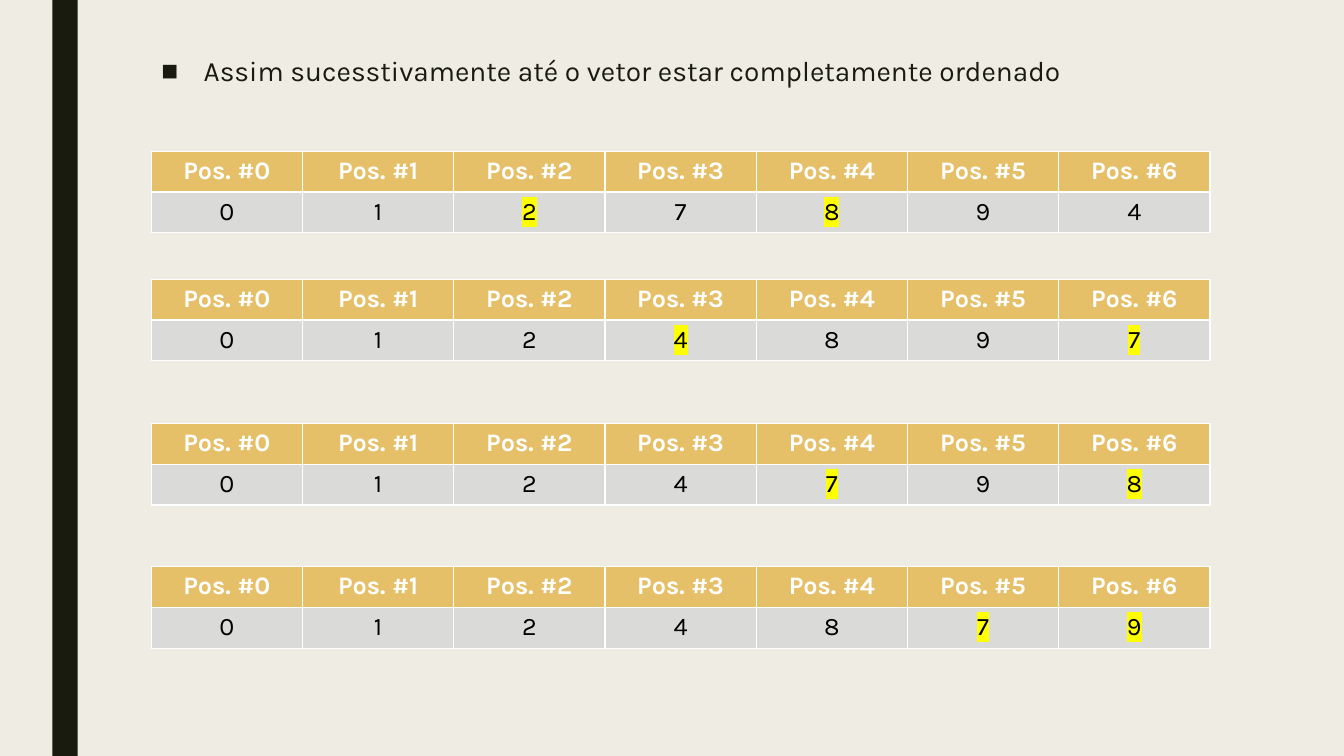
from lxml.etree import SubElement
from pptx import Presentation
from pptx.dml.color import RGBColor
from pptx.enum.shapes import MSO_SHAPE
from pptx.enum.text import MSO_ANCHOR, PP_ALIGN
from pptx.oxml.ns import qn
from pptx.util import Inches, Pt

MESSAGE = "Assim sucesstivamente até o vetor estar completamente ordenado"
# Top in inches, values of the vector, highlighted positions
STEPS = [
    (1.5, [0, 1, 2, 7, 8, 9, 4], {2, 4}),
    (2.77, [0, 1, 2, 4, 8, 9, 7], {3, 6}),
    (4.2, [0, 1, 2, 4, 7, 9, 8], {4, 6}),
    (5.62, [0, 1, 2, 4, 8, 7, 9], {5, 6}),
]

FONT = "Karla"
CREAM = RGBColor(0xEF, 0xED, 0xE3)
DARK = RGBColor(0x19, 0x1B, 0x0E)
GOLD = RGBColor(0xE6, 0xC0, 0x69)
GRAY = RGBColor(0xDA, 0xDB, 0xD9)
WHITE = RGBColor(0xFF, 0xFF, 0xFF)
BLACK = RGBColor(0, 0, 0)
YELLOW = RGBColor(0xFF, 0xFF, 0)

LEFT, WIDTH, ROW_HEIGHT = 1.5, 10.5, 0.405


def set_font(paragraph, size, color, bold=False):
    font = paragraph.font
    font.name, font.size, font.bold = FONT, Pt(size), bold
    font.color.rgb = color


def fill_cell(cell, text, fill, color, bold=False, highlighted=False):
    cell.fill.solid()
    cell.fill.fore_color.rgb = fill
    paragraph = cell.text_frame.paragraphs[0]
    paragraph.alignment = PP_ALIGN.CENTER
    run = paragraph.add_run()
    run.text = text
    set_font(paragraph, 18, color, bold)
    if highlighted:
        highlight = SubElement(run.font._element, qn("a:highlight"))
        SubElement(highlight, qn("a:srgbClr"), val=str(YELLOW))


def add_vector(slide, top, values, highlights):
    frame = slide.shapes.add_table(2, len(values), Inches(LEFT), Inches(top),
                                   Inches(WIDTH), Inches(2 * ROW_HEIGHT))
    table = frame.table
    table.horz_banding = False
    for row in table.rows:
        row.height = Inches(ROW_HEIGHT)
    for position, value in enumerate(values):
        table.columns[position].width = Inches(WIDTH / len(values))
        fill_cell(table.cell(0, position), f"Pos. #{position}", GOLD, WHITE, bold=True)
        fill_cell(table.cell(1, position), str(value), GRAY, BLACK,
                  highlighted=position in highlights)


def add_message(slide):
    body = slide.placeholders[1]
    body.left, body.top = Inches(LEFT), Inches(0.51)
    body.width, body.height = Inches(WIDTH), Inches(0.56)
    body.text_frame.vertical_anchor = MSO_ANCHOR.TOP
    paragraph = body.text_frame.paragraphs[0]
    paragraph.text = MESSAGE
    properties = paragraph._p.get_or_add_pPr()
    properties.set("marL", str(Inches(0.42)))
    properties.set("indent", str(Inches(-0.42)))
    SubElement(properties, qn("a:buChar"), char="■")
    paragraph.line_spacing = 0.94
    paragraph.space_before, paragraph.space_after = Pt(10), Pt(2)
    set_font(paragraph, 20, DARK)


def main():
    presentation = Presentation()
    presentation.slide_width, presentation.slide_height = Inches(13.33), Inches(7.5)
    slide = presentation.slides.add_slide(presentation.slide_layouts[1])
    slide.background.fill.solid()
    slide.background.fill.fore_color.rgb = CREAM
    title = slide.shapes.title
    title.element.getparent().remove(title.element)

    side_bar = slide.shapes.add_shape(MSO_SHAPE.RECTANGLE, Inches(0.52), 0,
                                      Inches(0.25), Inches(7.5))
    side_bar.shadow.inherit = False
    side_bar.fill.solid()
    side_bar.fill.fore_color.rgb = DARK
    side_bar.line.fill.background()

    add_message(slide)
    for top, values, highlights in STEPS:
        add_vector(slide, top, values, highlights)
    presentation.save("out.pptx")


if __name__ == "__main__":
    main()
